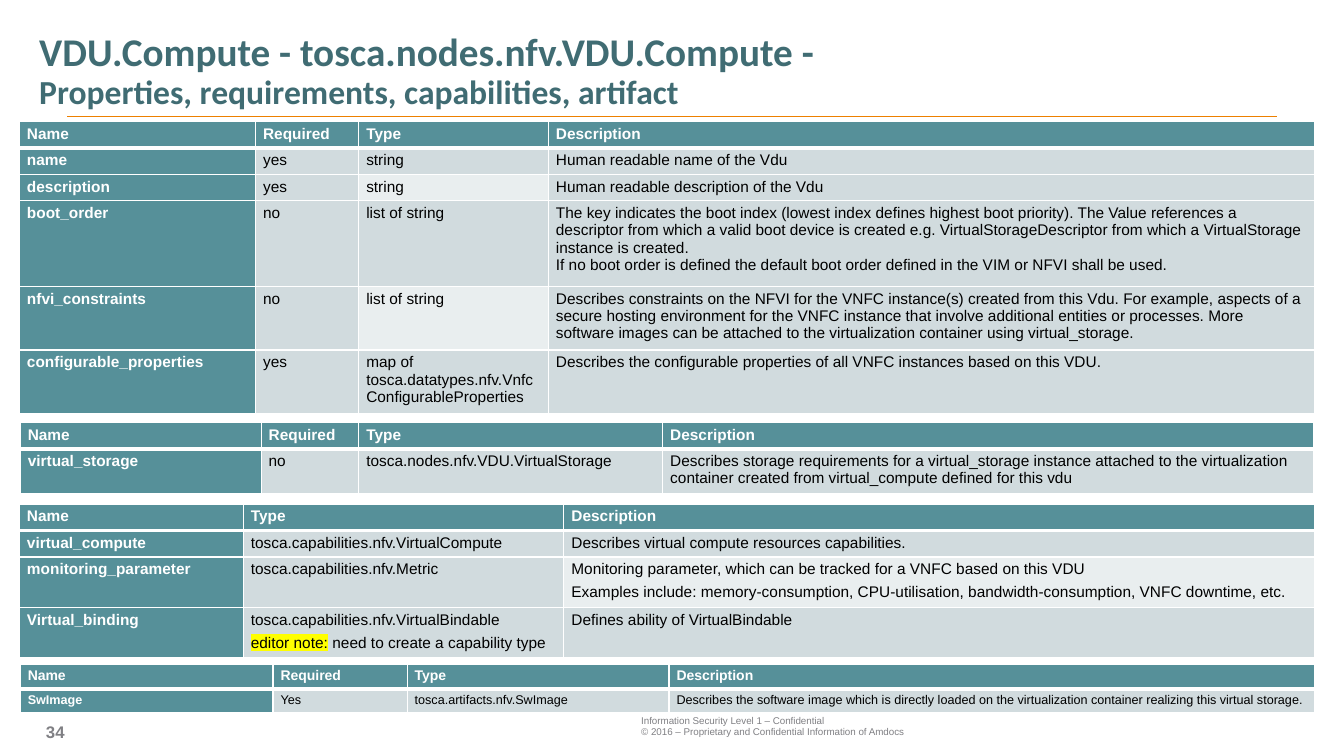
from lxml import etree
from pptx import Presentation
from pptx.dml.color import RGBColor
from pptx.enum.shapes import MSO_CONNECTOR
from pptx.enum.text import MSO_ANCHOR
from pptx.oxml.ns import qn
from pptx.util import Cm, Pt

STRAIGHT = MSO_CONNECTOR.STRAIGHT
TOP, MIDDLE, BOTTOM = MSO_ANCHOR.TOP, MSO_ANCHOR.MIDDLE, MSO_ANCHOR.BOTTOM

WHITE, BLACK, GREY = "FFFFFF", "000000", "808084"
TEAL, DARK_TEAL, ORANGE = "569099", "406C73", "ED8000"
PALE, PALER, YELLOW = "D1DBDE", "E9EEEF", "FFFF00"
EDITOR_NOTE = "editor note:"

PROPERTIES = [
    ["Name", "Required", "Type", "Description"],
    ["name", "yes", "string", "Human readable name of the Vdu"],
    ["description", "yes", "string", "Human readable description of the Vdu"],
    ["boot_order", "no", "list of string",
     "The key indicates the boot index (lowest index defines highest boot priority). "
     "The Value references a descriptor from which a valid boot device is created e.g. "
     "VirtualStorageDescriptor from which a VirtualStorage instance is created.\n"
     "If no boot order is defined the default boot order defined in the VIM or NFVI "
     "shall be used."],
    ["nfvi_constraints", "no", "list of string",
     "Describes constraints on the NFVI for the VNFC instance(s) created from this Vdu. "
     "For example, aspects of a secure hosting environment for the VNFC instance that "
     "involve additional entities or processes. More software images can be attached to "
     "the virtualization container using virtual_storage."],
    ["configurable_properties", "yes",
     "map of tosca.datatypes.nfv.VnfcConfigurableProperties",
     "Describes the configurable properties of all VNFC instances based on this VDU."],
]
REQUIREMENTS = [
    ["Name", "Required", "Type", "Description"],
    ["virtual_storage", "no", "tosca.nodes.nfv.VDU.VirtualStorage",
     "Describes storage requirements for a virtual_storage instance attached to the "
     "virtualization container created from virtual_compute defined for this vdu"],
]
CAPABILITIES = [
    ["Name", "Type", "Description"],
    ["virtual_compute", "tosca.capabilities.nfv.VirtualCompute",
     "Describes virtual compute resources capabilities."],
    ["monitoring_parameter", "tosca.capabilities.nfv.Metric",
     "Monitoring parameter, which can be tracked for a VNFC based on this VDU\n"
     "Examples include: memory-consumption, CPU-utilisation, bandwidth-consumption, "
     "VNFC downtime, etc."],
    ["Virtual_binding",
     "tosca.capabilities.nfv.VirtualBindable\n"
     "editor note: need to create a capability type",
     "Defines ability of VirtualBindable"],
]
ARTIFACTS = [
    ["Name", "Required", "Type", "Description"],
    ["SwImage", "Yes", "tosca.artifacts.nfv.SwImage",
     "Describes the software image which is directly loaded on the virtualization "
     "container realizing this virtual storage."],
]


def color(value):
    return RGBColor.from_string(value)


def add_span(para, text, size=11, ink=BLACK, bold=False, font="Arial", highlight=None):
    span = para.add_run()
    span.text = text
    span.font.size, span.font.bold, span.font.name = Pt(size), bold, font
    span.font.color.rgb = color(ink)
    if highlight:
        mark = etree.Element(qn("a:highlight"))
        etree.SubElement(mark, qn("a:srgbClr"), val=highlight)
        span.font._element.find(qn("a:solidFill")).addnext(mark)


def write(frame, text, space_before=0, **style):
    """Write one paragraph per line, with any editor note highlighted."""
    for index, line in enumerate(text.split("\n")):
        para = frame.add_paragraph() if index else frame.paragraphs[0]
        if index and space_before:
            para.space_before = Pt(space_before)
        if line.startswith(EDITOR_NOTE):
            add_span(para, EDITOR_NOTE, highlight=YELLOW, **style)
            line = line[len(EDITOR_NOTE):]
        add_span(para, line, **style)


def add_box(page, left, top, width, height, anchor):
    frame = page.shapes.add_textbox(Cm(left), Cm(top), Cm(width), Cm(height)).text_frame
    frame.word_wrap = True
    frame.vertical_anchor = anchor
    return frame


def set_borders(cell, bottom):
    properties = cell._tc.get_or_add_tcPr()
    for index, (side, points) in enumerate(
            [("lnL", 1), ("lnR", 1), ("lnT", 1), ("lnB", bottom)]):
        line = etree.Element(qn("a:" + side), w=str(Pt(points)))
        fill = etree.SubElement(line, qn("a:solidFill"))
        etree.SubElement(fill, qn("a:srgbClr"), val=WHITE)
        properties.insert(index, line)


def add_grid(page, rows, left, top, widths, heights, paler=(), head_size=11,
             body_size=11, space_before=0):
    """Place a table with a teal header row and a teal name column."""
    table = page.shapes.add_table(
        len(rows), len(widths), Cm(left), Cm(top), Cm(sum(widths)), Cm(sum(heights))).table
    for column, width in zip(table.columns, widths):
        column.width = Cm(width)
    for r, (texts, height) in enumerate(zip(rows, heights)):
        table.rows[r].height = Cm(height)
        for c, text in enumerate(texts):
            cell = table.cell(r, c)
            heading = r == 0 or c == 0
            cell.margin_left = cell.margin_right = Cm(0.19)
            cell.margin_top = cell.margin_bottom = Cm(0.1)
            cell.vertical_anchor = TOP
            cell.fill.solid()
            cell.fill.fore_color.rgb = color(
                TEAL if heading else PALER if (r, c) in paler else PALE)
            set_borders(cell, bottom=1 if r else 3)
            write(cell.text_frame, text, space_before, bold=heading,
                  size=body_size if r else head_size, ink=WHITE if heading else BLACK)


def add_title(page, left, top, width, height):
    para = add_box(page, left, top, width, height, BOTTOM).paragraphs[0]
    para.line_spacing = 0.9
    style = {"ink": DARK_TEAL, "bold": True, "font": "Calibri"}
    add_span(para, "VDU.Compute - tosca.nodes.nfv.VDU.Compute -", size=28, **style)
    para.add_line_break()
    add_span(para, "Properties, requirements, capabilities, artifact", size=24, **style)
    # Rule under the title
    rule_y = Cm(top + height)
    rule = page.shapes.add_connector(STRAIGHT, Cm(left + 0.96), rule_y,
                                     Cm(left + 31.44), rule_y)
    rule.line.color.rgb = color(ORANGE)
    rule.line.width = Pt(0.5)
    etree.SubElement(rule._element.spPr, qn("a:effectLst"))


def add_footer(page, left, top):
    write(add_box(page, left, top + 0.2, 2, 0.76, MIDDLE), "34",
          size=12, ink=GREY, bold=True)
    write(add_box(page, left + 15, top, 9.96, 0.86, BOTTOM),
          "Information Security Level 1 – Confidential\n"
          "© 2016 – Proprietary and Confidential Information of Amdocs",
          size=7, ink=GREY)


def main():
    deck = Presentation()
    deck.slide_width, deck.slide_height = Cm(33.87), Cm(19.05)
    page = deck.slides.add_slide(deck.slide_layouts[6])

    add_footer(page, 0.91, 17.86)
    add_title(page, 0.74, 0.33, 32.36, 2.6)

    # Tables, from top to bottom
    add_grid(page, PROPERTIES, 0.49, 3.06, [5.95, 2.6, 4.78, 19.32],
             [0.64, 0.64, 0.64, 2.16, 1.5, 1.5], paler={(2, 2), (4, 2)})
    add_grid(page, REQUIREMENTS, 0.51, 10.64, [6.07, 2.46, 7.66, 16.41], [0.66, 1.13])
    add_grid(page, CAPABILITIES, 0.49, 12.7, [5.64, 8.08, 18.92],
             [0.64, 0.64, 1.22, 1.08], paler={(2, 2)}, space_before=4)
    add_grid(page, ARTIFACTS, 0.51, 16.74, [6.37, 3.38, 6.6, 16.26], [0.6, 0.55],
             head_size=10, body_size=9)

    deck.save("out.pptx")


if __name__ == "__main__":
    main()
